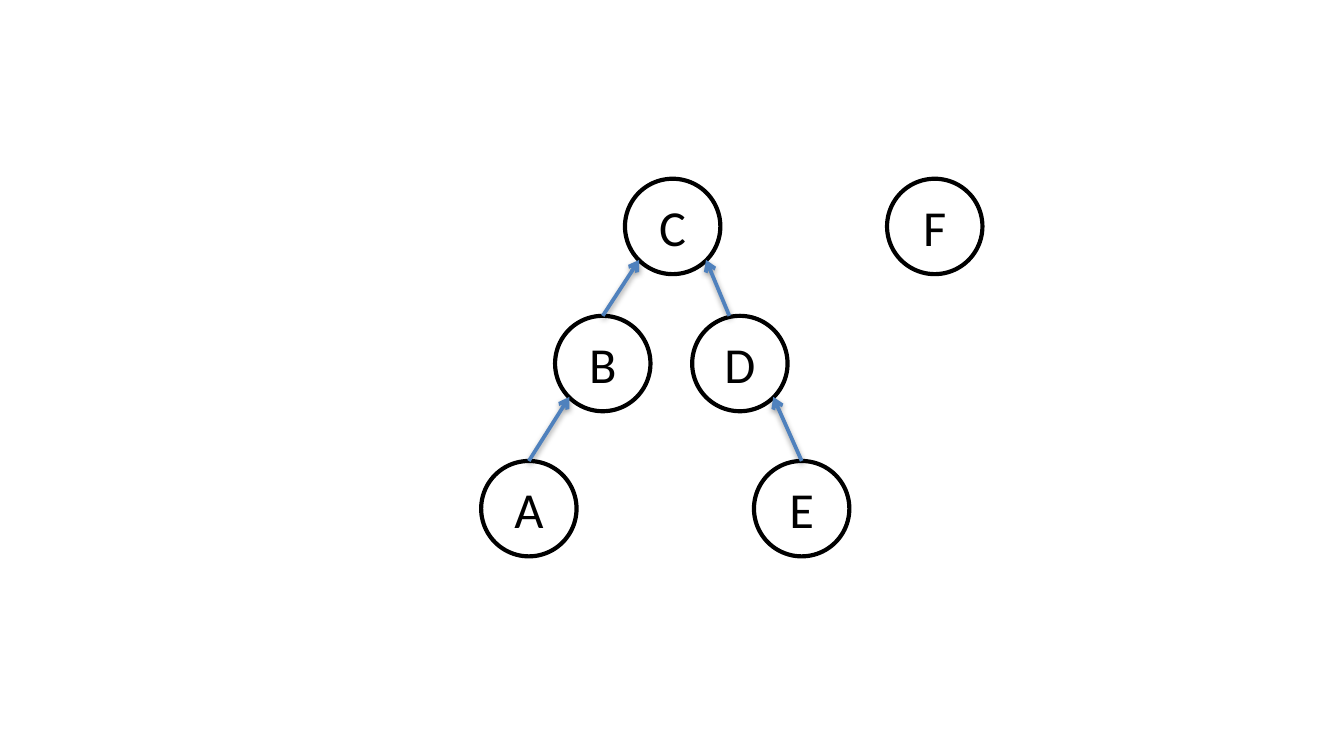
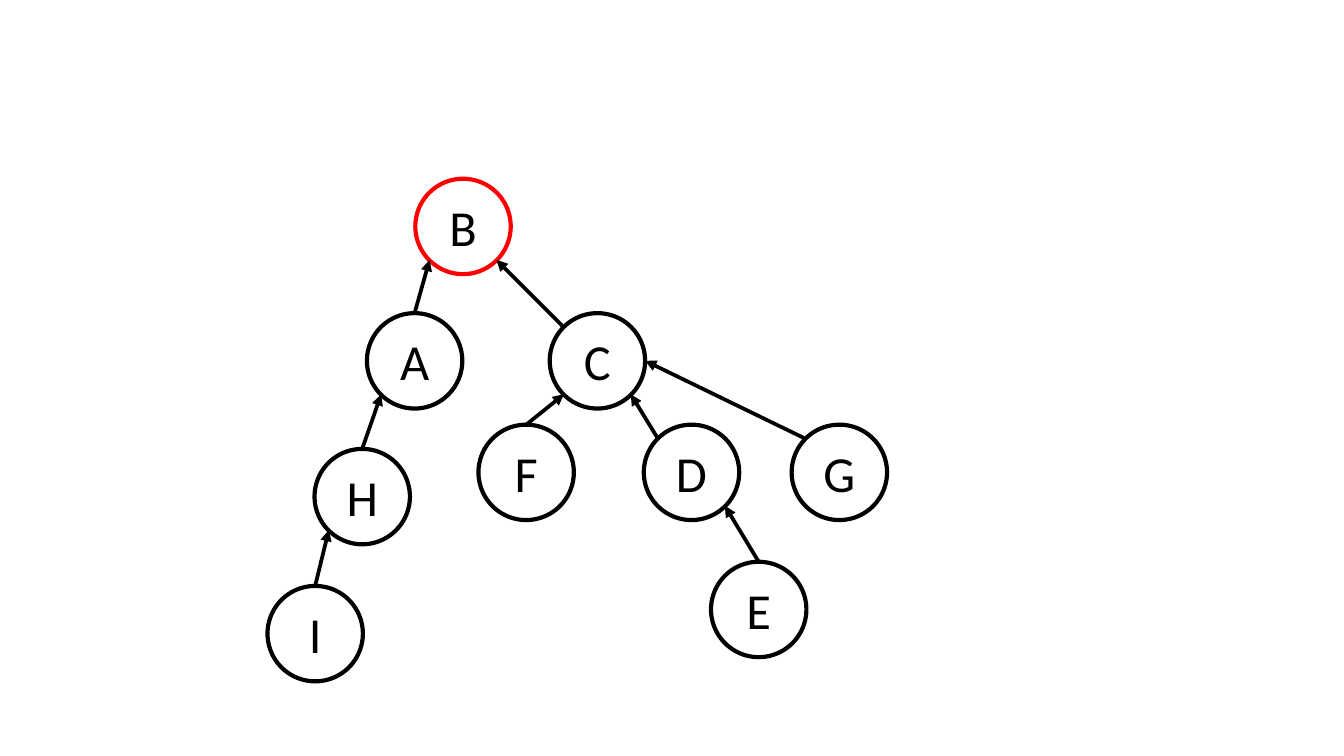
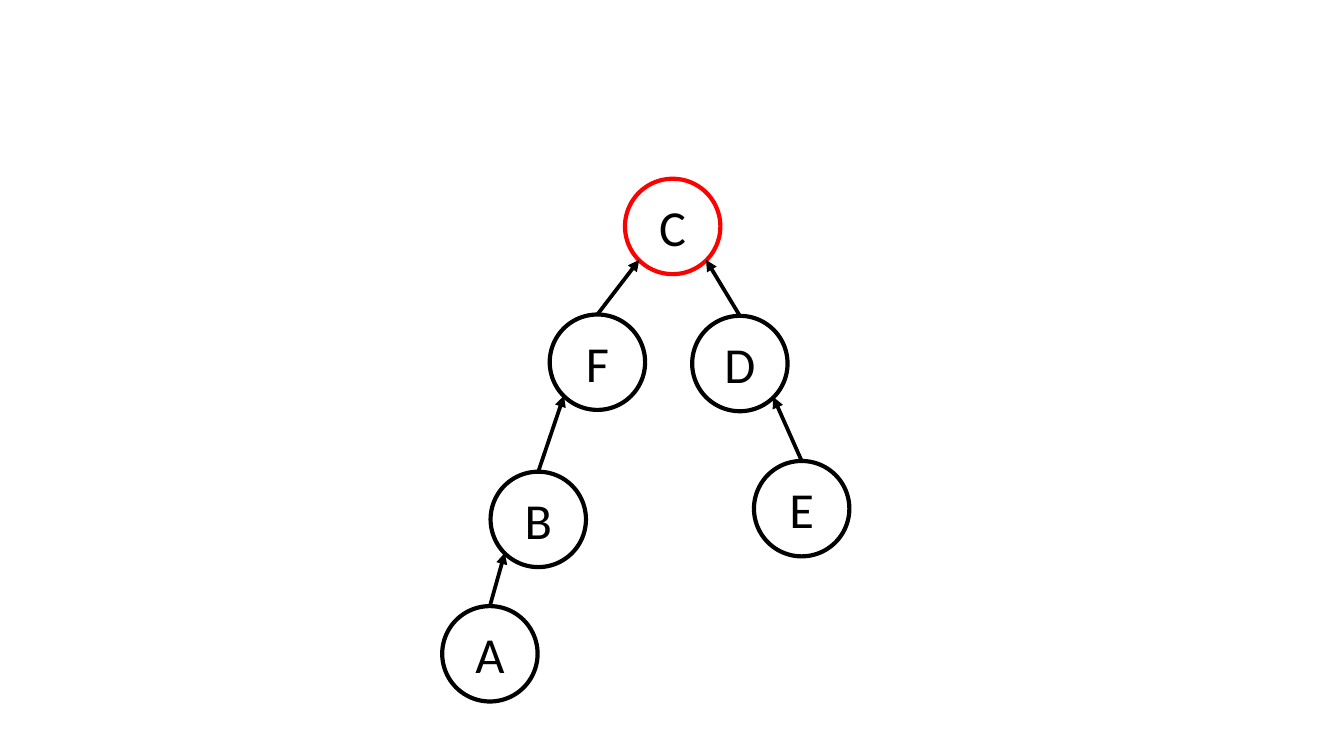
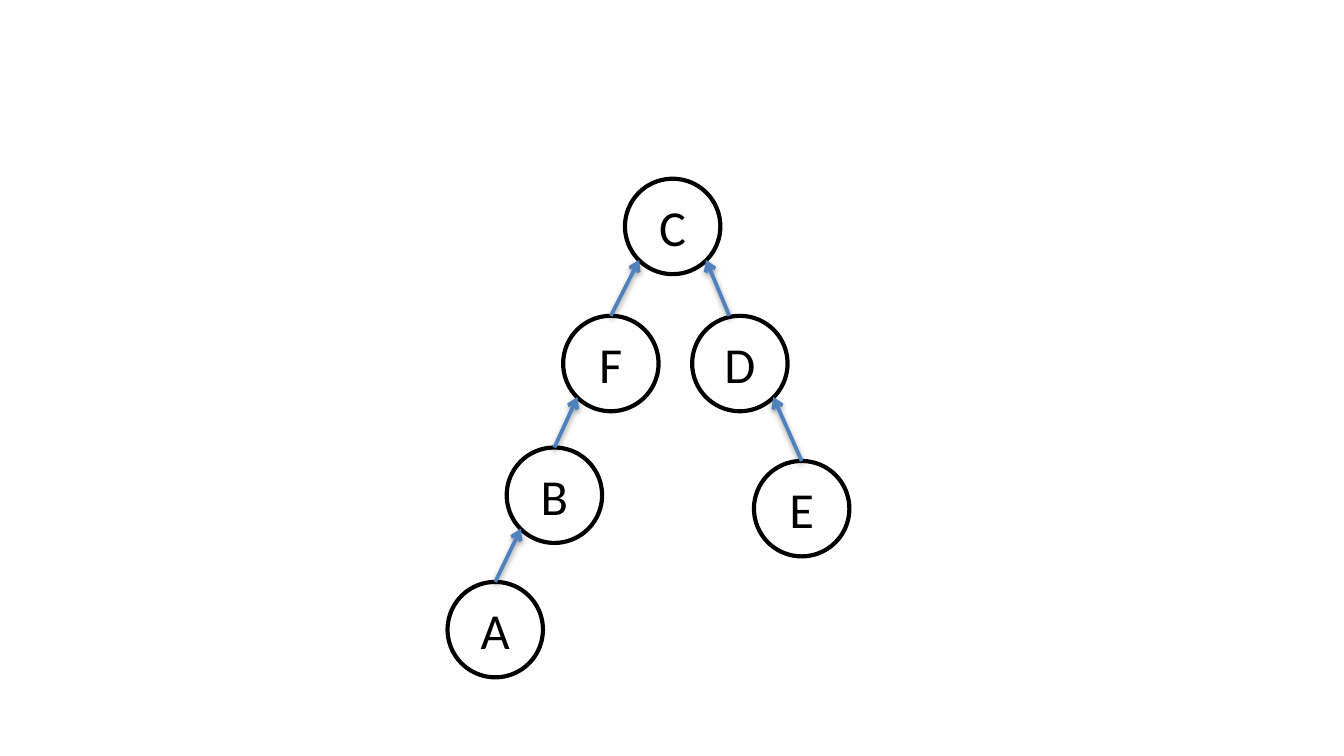
from lxml.etree import SubElement
from pptx import Presentation
from pptx.dml.color import RGBColor
from pptx.enum.shapes import MSO_CONNECTOR, MSO_SHAPE
from pptx.enum.text import MSO_ANCHOR, PP_ALIGN
from pptx.oxml.ns import qn
from pptx.util import Inches, Pt

BLACK, RED, BLUE = "000000", "FF0000", "4F81BD"
FONT = "Calibri"
SLIDE_WIDTH = 10
SLIDE_HEIGHT = SLIDE_WIDTH * 9 / 16
DIAMETER = 0.71

# Points on a circle's rim, as fractions of its width and height
RIM = {
    "top": (0.5, 0),
    "top_near": (0.39, 0),
    "top_left": (0.15, 0.15),
    "bottom_left": (0.15, 0.85),
    "bottom_right": (0.85, 0.85),
    "right": (1, 0.5),
}

# Nodes and edges that several trees share
ROOT_C = {"C": (4.65, 1.33)}
RIGHT_BRANCH = {"D": (5.15, 2.35), "E": (5.61, 3.43)}
E_TO_D = ("E", "top", "D", "bottom_right")
D_TO_C = ("D", "top", "C", "bottom_right")
D_NEAR_TO_C = ("D", "top_near", "C", "bottom_right")


def rgb(color):
    return RGBColor.from_string(color)


def left_edge(child, parent):
    return child, "top", parent, "bottom_left"


def add_node(s, label, left, top, color):
    node = s.shapes.add_shape(MSO_SHAPE.OVAL, Inches(left), Inches(top),
                              Inches(DIAMETER), Inches(DIAMETER))
    node.shadow.inherit = False
    node.fill.background()
    node.line.color.rgb = rgb(color)
    node.line.width = Pt(2.25)
    tf = node.text_frame
    tf.margin_left = tf.margin_right = Inches(0.07)
    tf.margin_top = tf.margin_bottom = Inches(0.04)
    tf.vertical_anchor = MSO_ANCHOR.MIDDLE
    tf.text = label
    p = tf.paragraphs[0]
    p.alignment = PP_ALIGN.CENTER
    font = p.runs[0].font
    font.name, font.size = FONT, Pt(27)
    font.color.rgb = rgb(BLACK)
    return node


def rim_point(node, place):
    fx, fy = RIM[place]
    return round(node.left + fx * node.width), round(node.top + fy * node.height)


def add_arrow(s, child, start, parent, end, color, head, shadow):
    arrow = s.shapes.add_connector(MSO_CONNECTOR.STRAIGHT,
                                   *rim_point(child, start), *rim_point(parent, end))
    if start == "top":
        arrow.begin_connect(child, 0)
    arrow.line.color.rgb = rgb(color)
    arrow.line.width = Pt(2)
    SubElement(arrow.line._get_or_add_ln(), qn("a:tailEnd"), type=head)
    if not shadow:
        SubElement(arrow._element.spPr, qn("a:effectLst"))


def add_tree(prs, nodes, edges, marked_root=None):
    """Draw a forest; one with a marked root has plain black arrows."""
    s = prs.slides.add_slide(prs.slide_layouts[6])
    shapes = {label: add_node(s, label, left, top, RED if label == marked_root else BLACK)
              for label, (left, top) in nodes.items()}
    # Blue arrows keep the theme's soft shadow
    color, head, shadow = (BLACK, "triangle", False) if marked_root else (BLUE, "arrow", True)
    for child, start, parent, end in edges:
        add_arrow(s, shapes[child], start, shapes[parent], end, color, head, shadow)


def main():
    prs = Presentation()
    prs.slide_width, prs.slide_height = Inches(SLIDE_WIDTH), Inches(SLIDE_HEIGHT)

    # Two separate trees: C and the single node F
    add_tree(prs,
             {"A": (3.58, 3.43), "B": (4.13, 2.35), **ROOT_C, **RIGHT_BRANCH,
              "F": (6.6, 1.33)},
             [E_TO_D, D_NEAR_TO_C, left_edge("A", "B"), left_edge("B", "C")])

    # Nine nodes under root B
    add_tree(prs,
             {"A": (2.73, 2.33), "B": (3.09, 1.33), "D": (4.79, 3.16),
              "E": (5.29, 4.18), "F": (3.56, 3.16), "C": (4.09, 2.33),
              "G": (5.89, 3.16), "H": (2.34, 3.34), "I": (1.99, 4.36)},
             [left_edge("A", "B"), E_TO_D, left_edge("F", "C"),
              ("D", "top_left", "C", "bottom_right"),
              ("G", "top_left", "C", "right"),
              left_edge("H", "A"), left_edge("I", "H"),
              ("C", "top_left", "B", "bottom_right")],
             marked_root="B")

    # F between B and C, root marked
    left_chain = [left_edge("A", "B"), left_edge("B", "F"), left_edge("F", "C")]
    add_tree(prs,
             {"A": (3.29, 4.51), "B": (3.65, 3.51), **ROOT_C, **RIGHT_BRANCH,
              "F": (4.09, 2.34)},
             [D_TO_C, E_TO_D, *left_chain],
             marked_root="C")

    # The same tree without a marked root
    add_tree(prs,
             {"A": (3.33, 4.33), "B": (3.77, 3.33), **ROOT_C, **RIGHT_BRANCH,
              "F": (4.19, 2.35)},
             [E_TO_D, D_NEAR_TO_C, *left_chain])

    prs.save("out.pptx")


if __name__ == "__main__":
    main()
